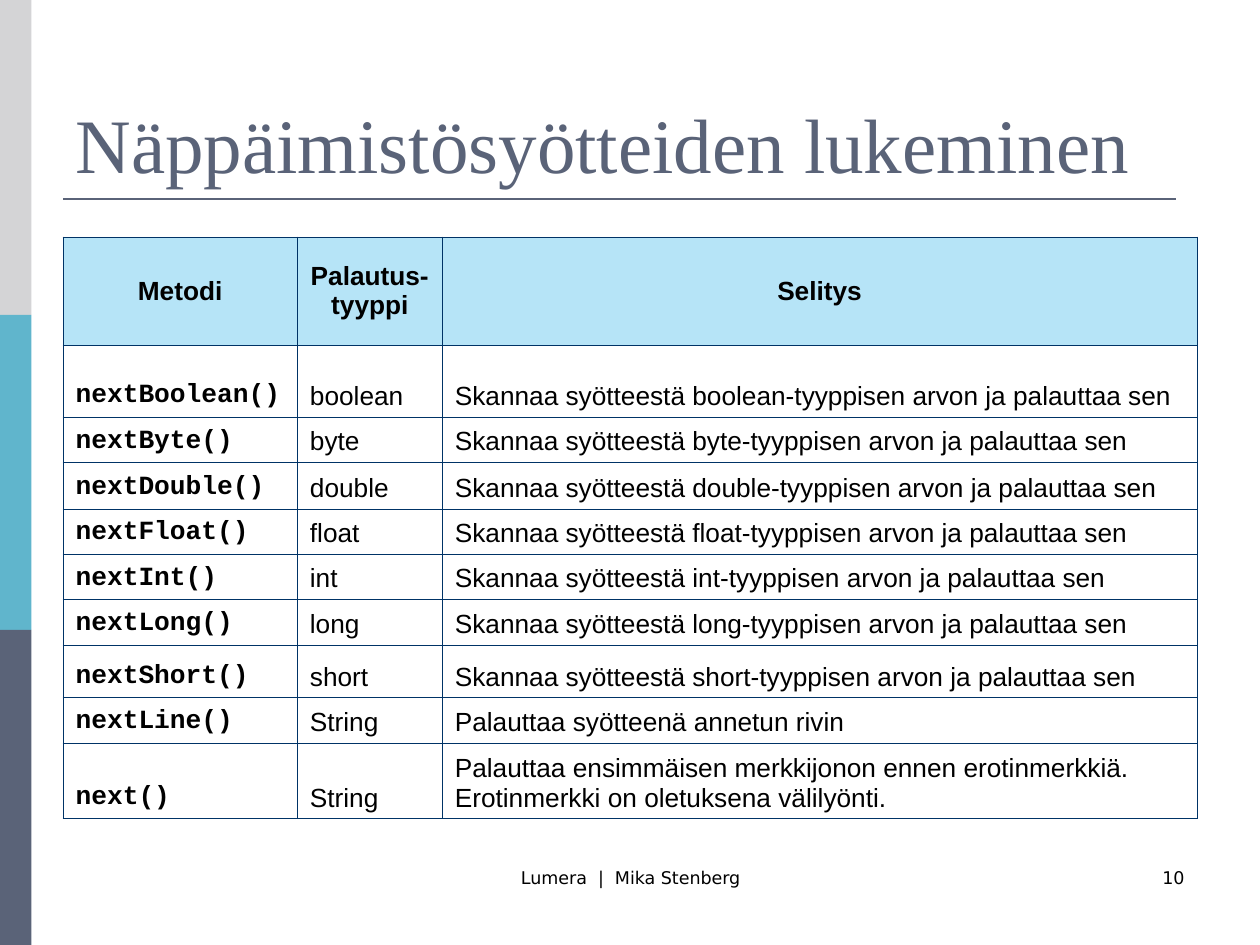
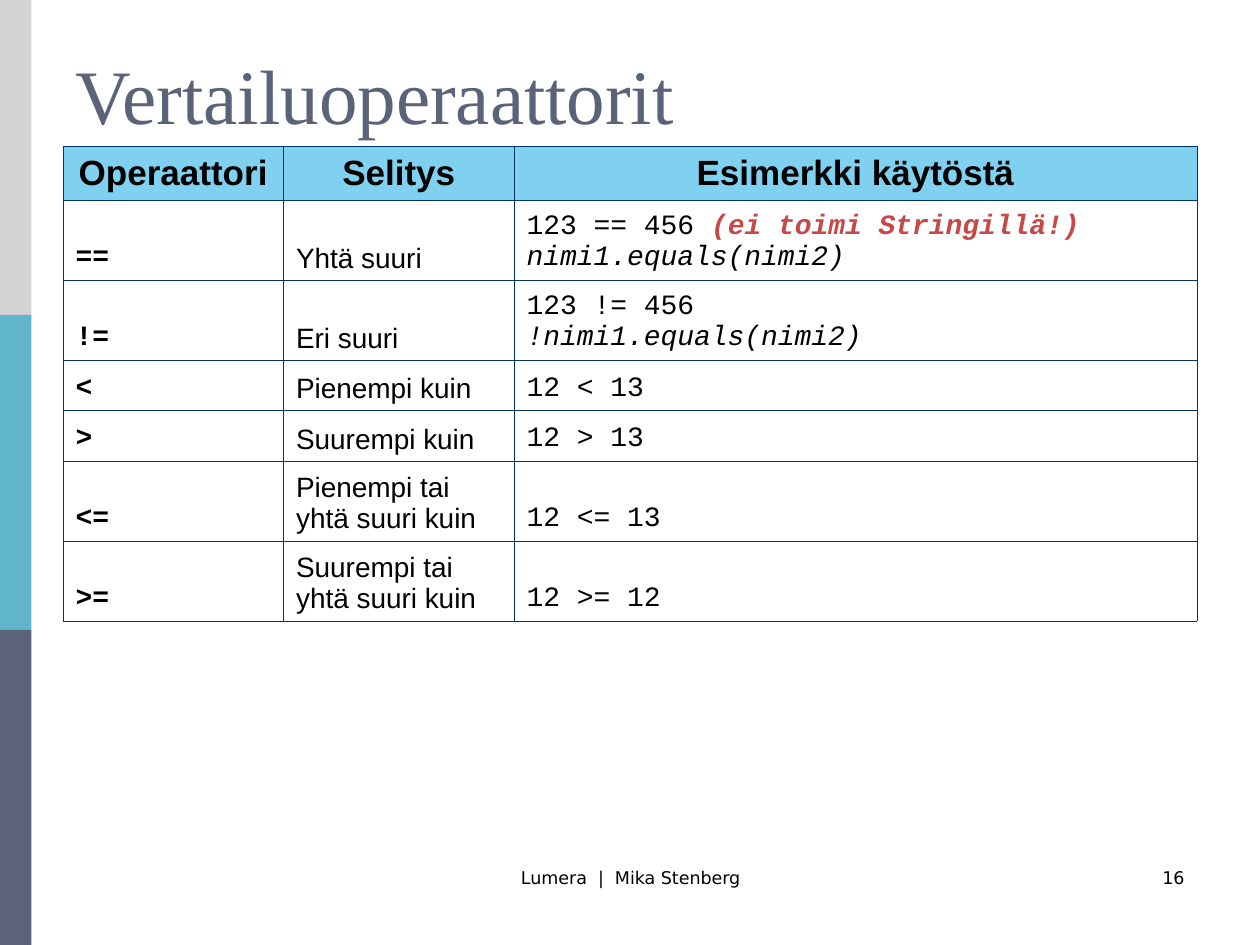
"""Build two slides of Java reference tables: Scanner methods and comparison operators."""
from lxml import etree
from pptx import Presentation
from pptx.dml.color import RGBColor
from pptx.enum.shapes import MSO_CONNECTOR, MSO_SHAPE
from pptx.enum.text import MSO_ANCHOR, MSO_AUTO_SIZE, PP_ALIGN
from pptx.oxml import parse_xml
from pptx.oxml.ns import nsdecls, qn
from pptx.util import Inches, Pt

STRAIGHT, RECTANGLE = MSO_CONNECTOR.STRAIGHT, MSO_SHAPE.RECTANGLE
LEFT, CENTER, RIGHT = PP_ALIGN.LEFT, PP_ALIGN.CENTER, PP_ALIGN.RIGHT
MIDDLE, BOTTOM = MSO_ANCHOR.MIDDLE, MSO_ANCHOR.BOTTOM
NO_AUTOFIT = MSO_AUTO_SIZE.NONE

BLACK = RGBColor(0x00, 0x00, 0x00)
SLATE = RGBColor(0x5A, 0x63, 0x78)
TEAL = RGBColor(0x60, 0xB5, 0xCC)
SILVER = RGBColor(0xD4, 0xD4, 0xD6)
PALE_BLUE = RGBColor(0xB6, 0xE4, 0xF7)
SKY_BLUE = RGBColor(0x80, 0xD0, 0xF0)
WARNING_RED = RGBColor(0xC6, 0x48, 0x47)
BORDER_NAVY = RGBColor(0x00, 0x33, 0x66)

TITLE = {"name": "Times New Roman", "size": Pt(44)}
FOOTER = {"name": "DejaVu Sans", "size": Pt(10)}
PROSE = {"name": "Arial", "bold": False}
CODE = {"name": "Courier New", "bold": False}
BOLD_CODE = {"name": "Courier New", "bold": True}
HEADING = {"name": "Arial", "bold": True}
ITALIC = {"italic": True}
WARNING = {"bold": True, "italic": True}

LEFT_EDGE = 0.5
BAND_WIDTH, BAND_HEIGHT = 0.25, 2.5
FOOTER_TOP, FOOTER_HEIGHT = 6.83, 0.5
FOOTER_TEXT = "Lumera  |  Mika Stenberg"

typed_methods = ["Boolean", "Byte", "Double", "Float", "Int", "Long", "Short"]
method_rows = [
    [f"next{kind}()", kind.lower(),
     f"Skannaa syötteestä {kind.lower()}-tyyppisen arvon ja palauttaa sen"]
    for kind in typed_methods
] + [
    ["nextLine()", "String", "Palauttaa syötteenä annetun rivin"],
    ["next()", "String",
     "Palauttaa ensimmäisen merkkijonon ennen erotinmerkkiä. "
     "Erotinmerkki on oletuksena välilyönti."],
]

equal_example = [
    [("123 == 456 ", {}, BLACK), ("(ei toimi Stringillä!)", WARNING, WARNING_RED)],
    [("nimi1.equals(nimi2)", ITALIC, BLACK)],
]
unequal_example = [
    [("123 != 456", {}, BLACK)],
    [("!nimi1.equals(nimi2)", ITALIC, BLACK)],
]
operator_rows = [
    ["==", "Yhtä suuri", equal_example],
    ["!=", "Eri suuri", unequal_example],
    ["<", "Pienempi kuin", "12 < 13"],
    [">", "Suurempi kuin", "12 > 13"],
    ["<=", "Pienempi tai yhtä suuri kuin", "12 <= 13"],
    [">=", "Suurempi tai yhtä suuri kuin", "12 >= 12"],
]

pages = [
    {
        "title": "Näppäimistösyötteiden lukeminen", "number": "10",
        "title_height": 1.25, "table_top": 1.88,
        "columns": [1.86, 1.15, 5.99],
        "heights": [0.86, 0.57, 0.36, 0.37, 0.36, 0.36, 0.36, 0.42, 0.36, 0.6],
        "headings": ["Metodi", "Palautus-tyyppi", "Selitys"],
        "rows": method_rows, "formats": [BOLD_CODE, PROSE, PROSE],
        "heading_size": Pt(15), "body_size": Pt(15), "heading_fill": PALE_BLUE,
    },
    {
        "title": "Vertailuoperaattorit", "number": "16",
        "title_height": 0.86, "table_top": 1.16,
        "columns": [1.75, 1.83, 5.42],
        "heights": [0.43, 0.63, 0.63, 0.4, 0.4, 0.63, 0.63],
        "headings": ["Operaattori", "Selitys", "Esimerkki käytöstä"],
        "rows": operator_rows, "formats": [BOLD_CODE, PROSE, CODE],
        "heading_size": Pt(20), "body_size": Pt(16), "heading_fill": SKY_BLUE,
    },
]


def write(paragraph, text, font_format, color=BLACK, align=LEFT):
    """Append one formatted run to a paragraph."""
    paragraph.alignment = align
    run = paragraph.add_run()
    run.text = text
    for attribute, value in font_format.items():
        setattr(run.font, attribute, value)
    run.font.color.rgb = color


def outline(cell):
    """Draw a thin border on all four sides of a table cell."""
    properties = cell._tc.get_or_add_tcPr()
    for side in ("lnL", "lnR", "lnT", "lnB"):
        properties.append(parse_xml(
            f'<a:{side} {nsdecls("a")} w="{Pt(0.45)}"><a:solidFill>'
            f'<a:srgbClr val="{BORDER_NAVY}"/></a:solidFill></a:{side}>'))


prs = Presentation()
prs.slide_width, prs.slide_height = Inches(10), Inches(7.5)
title_only = prs.slide_layouts[5]

for page in pages:
    slide = prs.slides.add_slide(title_only)

    for index, color in enumerate([SILVER, TEAL, SLATE]):
        band = slide.shapes.add_shape(
            RECTANGLE, 0, Inches(index * BAND_HEIGHT), Inches(BAND_WIDTH), Inches(BAND_HEIGHT))
        band.shadow.inherit = False
        band.fill.solid()
        band.fill.fore_color.rgb = color
        band.line.fill.background()

    title_rule = slide.shapes.add_connector(
        STRAIGHT, Inches(LEFT_EDGE), Inches(1.58), Inches(9.33), Inches(1.58))
    title_rule.line.color.rgb = SLATE
    title_rule.line.width = Pt(1.5)
    etree.SubElement(title_rule._element.spPr, qn("a:effectLst"))

    title = slide.shapes.title
    title.left, title.top = Inches(LEFT_EDGE), Inches(0.3)
    title.width, title.height = Inches(9), Inches(page["title_height"])
    title.text_frame.auto_size = NO_AUTOFIT
    title.text_frame.vertical_anchor = BOTTOM
    write(title.text_frame.paragraphs[0], page["title"], TITLE, SLATE)

    for text, left, width, align in [(FOOTER_TEXT, 3.42, 3.17, CENTER),
                                     (page["number"], 7.17, 2.33, RIGHT)]:
        footer = slide.shapes.add_textbox(
            Inches(left), Inches(FOOTER_TOP), Inches(width), Inches(FOOTER_HEIGHT))
        footer.text_frame.word_wrap = True
        write(footer.text_frame.paragraphs[0], text, FOOTER, align=align)

    rows = [page["headings"]] + page["rows"]
    table = slide.shapes.add_table(
        len(rows), len(page["columns"]), Inches(LEFT_EDGE), Inches(page["table_top"]),
        Inches(sum(page["columns"])), Inches(sum(page["heights"]))).table
    table.first_row = table.horz_banding = False
    for column, width in zip(table.columns, page["columns"]):
        column.width = Inches(width)
    for table_row, height in zip(table.rows, page["heights"]):
        table_row.height = Inches(height)

    for row_index, row in enumerate(rows):
        is_heading = row_index == 0
        for column_index, content in enumerate(row):
            cell = table.cell(row_index, column_index)
            outline(cell)
            if is_heading:
                cell.fill.solid()
                cell.fill.fore_color.rgb = page["heading_fill"]
                base = HEADING | {"size": page["heading_size"]}
            else:
                cell.fill.background()
                base = page["formats"][column_index] | {"size": page["body_size"]}
            cell.vertical_anchor = MIDDLE if is_heading else BOTTOM

            lines = [[(content, {}, BLACK)]] if isinstance(content, str) else content
            for line_index, line in enumerate(lines):
                frame = cell.text_frame
                paragraph = frame.add_paragraph() if line_index else frame.paragraphs[0]
                for text, extra, color in line:
                    write(paragraph, text, base | extra, color, CENTER if is_heading else LEFT)

prs.save("out.pptx")
